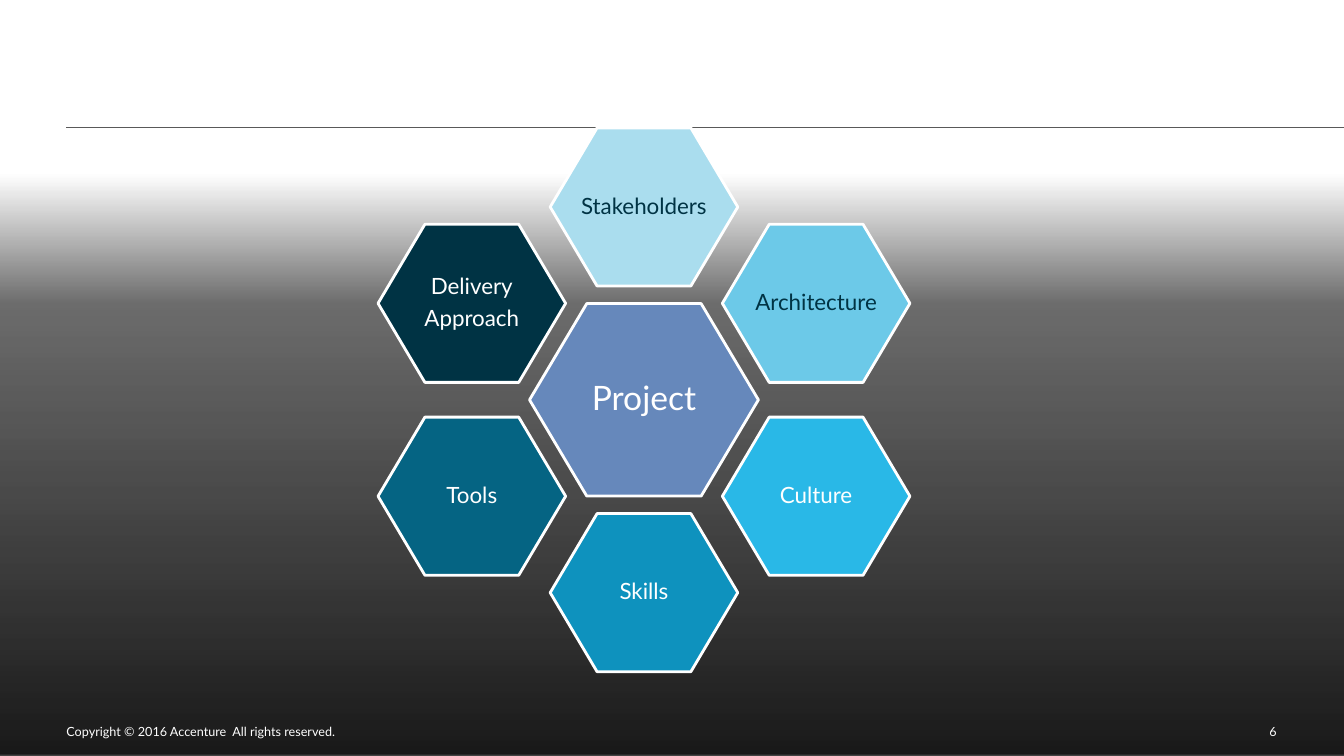
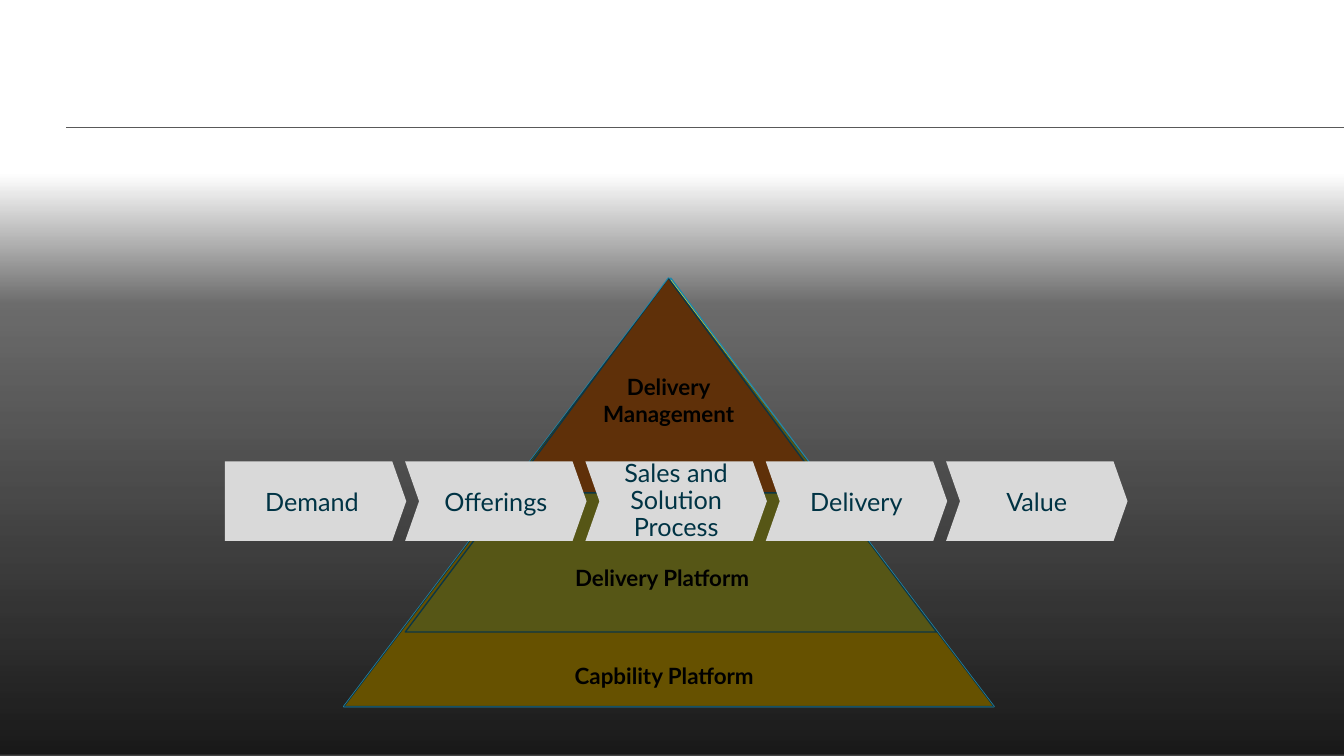
"""Build two slides: a ring of project factors and a delivery pyramid."""
import math

from lxml import etree
from pptx import Presentation
from pptx.dml.color import RGBColor
from pptx.enum.shapes import MSO_CONNECTOR, MSO_SHAPE
from pptx.enum.text import MSO_ANCHOR, PP_ALIGN
from pptx.oxml import parse_xml
from pptx.oxml.ns import nsdecls, qn
from pptx.util import Pt

RECT, HEXAGON = MSO_SHAPE.RECTANGLE, MSO_SHAPE.HEXAGON
TRIANGLE, CHEVRON = MSO_SHAPE.ISOSCELES_TRIANGLE, MSO_SHAPE.CHEVRON
HOME_PLATE = MSO_SHAPE.PENTAGON
STRAIGHT = MSO_CONNECTOR.STRAIGHT
MIDDLE = MSO_ANCHOR.MIDDLE
LEFT, CENTER, RIGHT = PP_ALIGN.LEFT, PP_ALIGN.CENTER, PP_ALIGN.RIGHT

WIDTH, HEIGHT = 960, 540
MARGIN = 47.5
FONT = "Lato"
WHITE, BLACK, NAVY = "FFFFFF", "000000", "003344"
RULE, TEAL, SILVER = "595959", "2288AA", "D9D9D9"

HEX_CENTER = (460, 285.6)
RING_RADII = (142, 137.75)
FACTORS = [
    ("Stakeholders", "AADDEE", NAVY),
    ("Architecture", "6CC9E8", NAVY),
    ("Culture", "29B8E7", WHITE),
    ("Skills", "0E92BE", WHITE),
    ("Tools", "056483", WHITE),
    ("Delivery\nApproach", NAVY, WHITE),
]

PYRAMID_TOP = 198.7
BASE = (245.5, PYRAMID_TOP, 464.5, 306)
LAYERS = [
    (BASE, "FFCB00"),
    ((289.5, PYRAMID_TOP, 379.5, 252.7), "D7D739"),
    ((363.6, PYRAMID_TOP, 227.5, 153.4), "EE7A18"),
]
LAYER_LABELS = [
    ("Delivery\nManagement", 477.7, 285.7),
    ("Delivery Platform", 473, 412.2),
    ("Capbility Platform", 474.5, 482.8),
]
STEPS = ["Demand", "Offerings", "Sales and Solution Process", "Delivery", "Value"]


def rgb(value):
    """Turn a hex string into a colour."""
    return RGBColor.from_string(value)


def add_shape(s, kind, box, fill, line=None, line_width=1):
    """Add a flat preset shape."""
    sp = s.shapes.add_shape(kind, *map(Pt, box))
    sp.shadow.inherit = False
    sp.fill.solid()
    sp.fill.fore_color.rgb = rgb(fill)
    if line:
        sp.line.color.rgb = rgb(line)
        sp.line.width = Pt(line_width)
    else:
        sp.line.fill.background()
    return sp


def write(sp, text, size, color, align=CENTER, bold=False, insets=(0, 0),
          wrap=True, spacing=None, after=0):
    """Fill a shape with one paragraph per line of text."""
    tf = sp.text_frame
    tf.word_wrap = wrap
    tf.vertical_anchor = MIDDLE
    tf.margin_left = tf.margin_right = Pt(insets[0])
    tf.margin_top = tf.margin_bottom = Pt(insets[1])
    tf.text = text
    for p in tf.paragraphs:
        p.alignment = align
        p.space_after = Pt(after)
        if spacing:
            p.line_spacing = spacing
        p.font.name = FONT
        p.font.size = Pt(size)
        p.font.bold = bold
        p.font.color.rgb = rgb(color)


def add_label(s, box, text, size, color, **style):
    """Add a text box."""
    write(s.shapes.add_textbox(*map(Pt, box)), text, size, color, **style)


def add_rule(s, x1, x2, y):
    """Add a thin horizontal line."""
    line = s.shapes.add_connector(STRAIGHT, Pt(x1), Pt(y), Pt(x2), Pt(y))
    line.line.color.rgb = rgb(RULE)
    line.line.width = Pt(0.75)
    etree.SubElement(line.element.spPr, qn("a:effectLst"))
    return line


def set_alpha(sp, percent):
    """Make a solid fill partly transparent."""
    color = sp.element.spPr.find(qn("a:solidFill")).find(qn("a:srgbClr"))
    etree.SubElement(color, qn("a:alpha")).set("val", str(percent * 1000))


def set_fade(sp, color, stops):
    """Give a shape a downward gradient of (position, opacity) percents."""
    gs = "".join(
        f'<a:gs pos="{pos * 1000}"><a:srgbClr val="{color}">'
        f'<a:alpha val="{alpha * 1000}"/></a:srgbClr></a:gs>'
        for pos, alpha in stops)
    grad = parse_xml(
        f'<a:gradFill {nsdecls("a")} rotWithShape="1"><a:gsLst>{gs}</a:gsLst>'
        '<a:lin ang="5400000" scaled="0"/></a:gradFill>')
    spPr = sp.element.spPr
    spPr.replace(spPr.find(qn("a:solidFill")), grad)


def dress_layout(layout, s):
    """Move the rule and the dark fade, drawn on a slide, to its layout."""
    tree = layout.shapes.element
    for ph in list(layout.placeholders):
        tree.remove(ph.element)
    rule = add_rule(s, MARGIN, WIDTH, 91.4)
    fade = add_shape(s, RECT, (0, 125, WIDTH, HEIGHT - 125), BLACK)
    set_fade(fade, BLACK, [(0, 0), (22, 57), (100, 90)])
    for sp in (rule, fade):
        tree.append(sp.element)


def add_footer(s, number):
    """Add the copyright line and the slide number."""
    add_label(s, (MARGIN, 517.7, 426, 10),
              "Copyright © 2016 Accenture  All rights reserved.", 9, WHITE, align=LEFT)
    add_label(s, (854.5, 517.7, 57.5, 10), number, 9, WHITE, align=RIGHT)


def add_hexagon(s, center, size, text, font_size, fill, color):
    """Add a white-edged hexagon around a centre point."""
    (cx, cy), (w, h) = center, size
    sp = add_shape(s, HEXAGON, (cx - w / 2, cy - h / 2, w, h), fill, WHITE, 2)
    sp.adjustments[0] = 0.25 * w / h
    write(sp, text, font_size, color, wrap=False, spacing=0.9,
          after=0.35 * font_size)


def build_ring(s):
    """Draw the project hexagon and the factors around it."""
    cx, cy = HEX_CENTER
    rx, ry = RING_RADII
    add_hexagon(s, HEX_CENTER, (163.5, 137.5), "Project", 24, "6688BB", WHITE)
    for i, (text, fill, color) in enumerate(FACTORS):
        angle = 2 * math.pi * i / len(FACTORS)
        center = (cx + rx * math.sin(angle), cy - ry * math.cos(angle))
        add_hexagon(s, center, (134, 113), text, 16, fill, color)


def build_pyramid(s):
    """Draw the layered pyramid, its labels and its dark veil."""
    for box, fill in LAYERS:
        add_shape(s, TRIANGLE, box, fill, TEAL)
    for text, cx, cy in LAYER_LABELS:
        add_label(s, (cx - 80, cy - 20, 160, 40), text, 16, BLACK, bold=True)
    set_alpha(add_shape(s, TRIANGLE, BASE, BLACK), 60)


def build_process(s):
    """Draw the row of process arrows."""
    for i, text in enumerate(STEPS):
        kind, inset = (CHEVRON, 5.76) if i else (HOME_PLATE, 7.2)
        sp = add_shape(s, kind, (160.6 + 128.8 * i, 329.6, 129.6, 56.8), SILVER)
        sp.adjustments[0] = 0.176
        write(sp, text, 18, NAVY, insets=(inset, 3.6),
              spacing=0.9 if " " in text else None)


def main():
    """Build and save the slides."""
    prs = Presentation()
    prs.slide_width, prs.slide_height = Pt(WIDTH), Pt(HEIGHT)
    layout = prs.slide_layouts[6]

    s = prs.slides.add_slide(layout)
    dress_layout(layout, s)
    add_footer(s, "6")
    build_ring(s)

    s = prs.slides.add_slide(layout)
    build_pyramid(s)
    build_process(s)

    prs.save("out.pptx")


if __name__ == "__main__":
    main()
